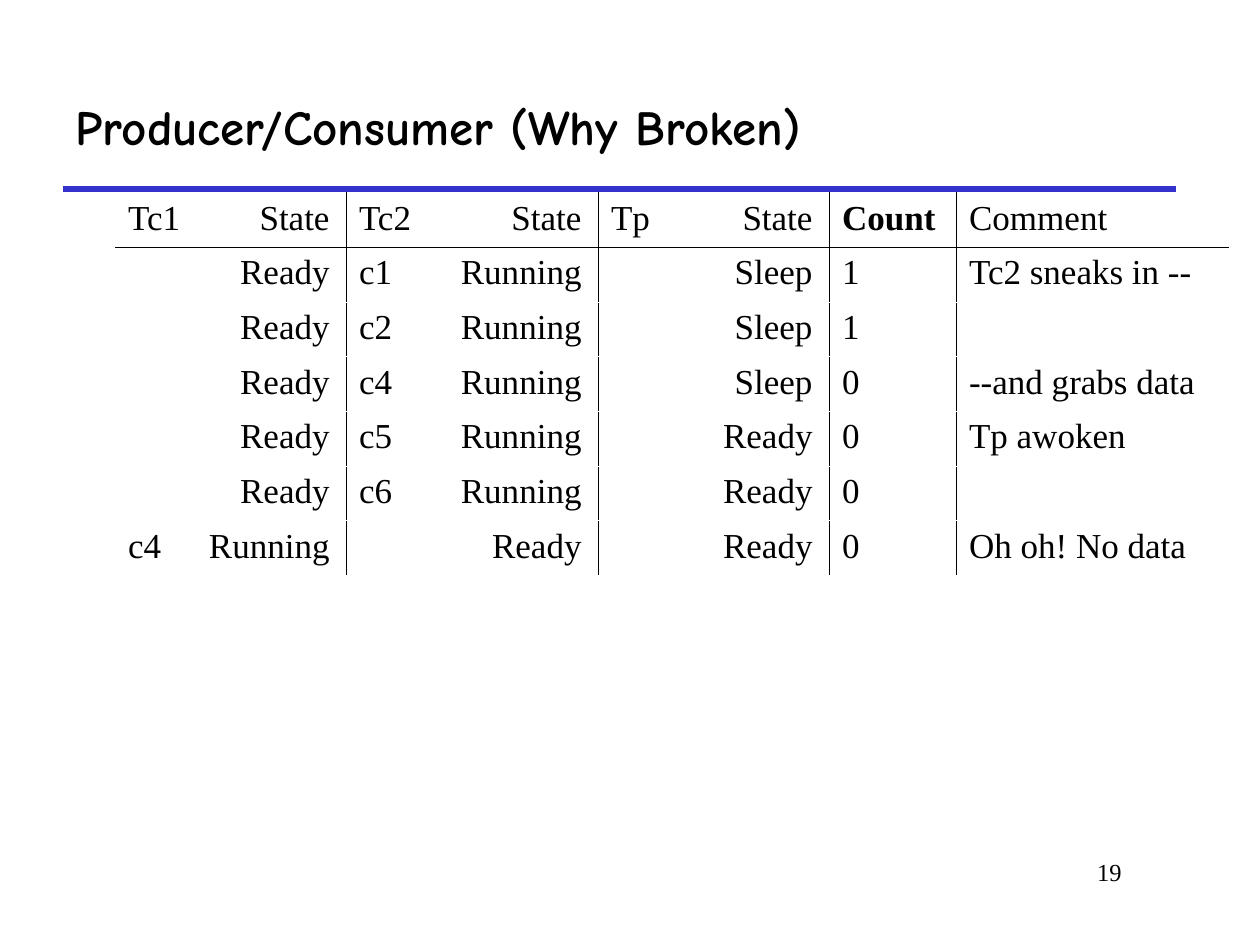
from lxml import etree
from pptx import Presentation
from pptx.dml.color import RGBColor
from pptx.enum.shapes import MSO_CONNECTOR
from pptx.enum.text import MSO_ANCHOR, MSO_AUTO_SIZE, PP_ALIGN
from pptx.oxml.ns import qn
from pptx.util import Inches, Pt

STRAIGHT = MSO_CONNECTOR.STRAIGHT
MIDDLE, TOP = MSO_ANCHOR.MIDDLE, MSO_ANCHOR.TOP
NO_FIT = MSO_AUTO_SIZE.NONE
LEFT, RIGHT = PP_ALIGN.LEFT, PP_ALIGN.RIGHT

BLACK, WHITE, BLUE = "000000", "FFFFFF", "3333CC"
GRID = Inches(1) / 12
COLUMN_WIDTHS = (22, 24, 22, 12.1, 25.9)
ROW_HEIGHT = 5.2
STATE_INSET = 2.8
STATE_COLUMNS = 3

ROWS = (
    ("Tc1\tState", "Tc2\tState", "Tp\tState", "Count", "Comment"),
    ("\tReady", "c1\tRunning", "\tSleep", "1", "Tc2 sneaks in --"),
    ("\tReady", "c2\tRunning", "\tSleep", "1", ""),
    ("\tReady", "c4\tRunning", "\tSleep", "0", "--and grabs data"),
    ("\tReady", "c5\tRunning", "\tReady", "0", "Tp awoken"),
    ("\tReady", "c6\tRunning", "\tReady", "0", ""),
    ("c4\tRunning", "\tReady", "\tReady", "0", "Oh oh! No data"),
)


def color(value):
    return RGBColor.from_string(value)


def grid(*units):
    return [round(unit * GRID) for unit in units]


def apply(target, values):
    for name, value in values.items():
        setattr(target, name, value)


class SlideBuilder:
    title_font = {"name": "Comic Neue", "size": Pt(28), "bold": True}
    table_font = {"name": "Times New Roman", "size": Pt(20), "bold": False}
    number_font = {"name": "Times New Roman", "size": Pt(14), "bold": False}

    def __init__(self, presentation):
        self.slide = presentation.slides.add_slide(presentation.slide_layouts[5])

    def set_text(self, frame, text, font, alignment=LEFT):
        frame.text = text
        paragraph = frame.paragraphs[0]
        paragraph.alignment = alignment
        return paragraph, font

    def style(self, paragraph, font):
        apply(paragraph.font, font)
        paragraph.font.color.rgb = color(BLACK)

    def title(self, text, *box):
        shape = self.slide.shapes.title
        apply(shape, dict(zip(("left", "top", "width", "height"), grid(*box))))
        apply(shape.text_frame, {"vertical_anchor": MIDDLE, "auto_size": NO_FIT})
        self.style(*self.set_text(shape.text_frame, text, self.title_font))

    def rule(self, *ends):
        connector = self.slide.shapes.add_connector(STRAIGHT, *grid(*ends))
        connector.line.color.rgb = color(BLUE)
        connector.line.width = Pt(3)
        etree.SubElement(connector._element.spPr, qn("a:effectLst"))

    def page_number(self, text, *box):
        shape = self.slide.shapes.add_textbox(*grid(*box))
        apply(shape.text_frame, {"word_wrap": True, "vertical_anchor": TOP})
        self.style(*self.set_text(shape.text_frame, text, self.number_font, RIGHT))

    def border(self, cell, side, value):
        properties = cell._tc.get_or_add_tcPr()
        line = etree.SubElement(properties, qn(f"a:ln{side}"), w=str(Pt(0.45)))
        fill = etree.SubElement(line, qn("a:solidFill"))
        etree.SubElement(fill, qn("a:srgbClr"), val=value)

    def right_tab(self, paragraph, position):
        properties = paragraph._p.get_or_add_pPr()
        tabs = etree.SubElement(properties, qn("a:tabLst"))
        etree.SubElement(tabs, qn("a:tab"), pos=str(position), algn="r")

    def cell(self, table, row, column, text):
        cell = table.cell(row, column)
        font = {**self.table_font, "bold": text == "Count"}
        paragraph, font = self.set_text(cell.text_frame, text, font)
        if column < STATE_COLUMNS:
            position = grid(COLUMN_WIDTHS[column] - STATE_INSET)[0]
            self.right_tab(paragraph, position)
        self.style(paragraph, font)
        last = len(COLUMN_WIDTHS) - 1
        sides = {
            "L": WHITE if column == 0 else BLACK,
            "R": WHITE if column == last else BLACK,
            "T": BLACK if row == 1 else WHITE,
            "B": BLACK if row == 0 else WHITE,
        }
        for side, value in sides.items():
            self.border(cell, side, value)
        cell.fill.background()

    def table(self, rows, left, top):
        box = grid(left, top, sum(COLUMN_WIDTHS), ROW_HEIGHT * len(rows))
        table = self.slide.shapes.add_table(len(rows), len(COLUMN_WIDTHS), *box).table
        apply(table, {"first_row": False, "horz_banding": False})
        for column, width in zip(table.columns, grid(*COLUMN_WIDTHS)):
            column.width = width
        for row_index, texts in enumerate(rows):
            table.rows[row_index].height = grid(ROW_HEIGHT)[0]
            for column_index, text in enumerate(texts):
                self.cell(table, row_index, column_index, text)


def main():
    presentation = Presentation()
    apply(presentation, {"slide_width": Inches(10), "slide_height": Inches(7.5)})
    builder = SlideBuilder(presentation)
    builder.rule(6, 18, 112, 18)
    builder.page_number("19", 91, 81, 17, 6)
    builder.title("Producer/Consumer (Why Broken)", 6, 6, 106, 12)
    builder.table(ROWS, 11, 18.35)
    presentation.save("out.pptx")


if __name__ == "__main__":
    main()
